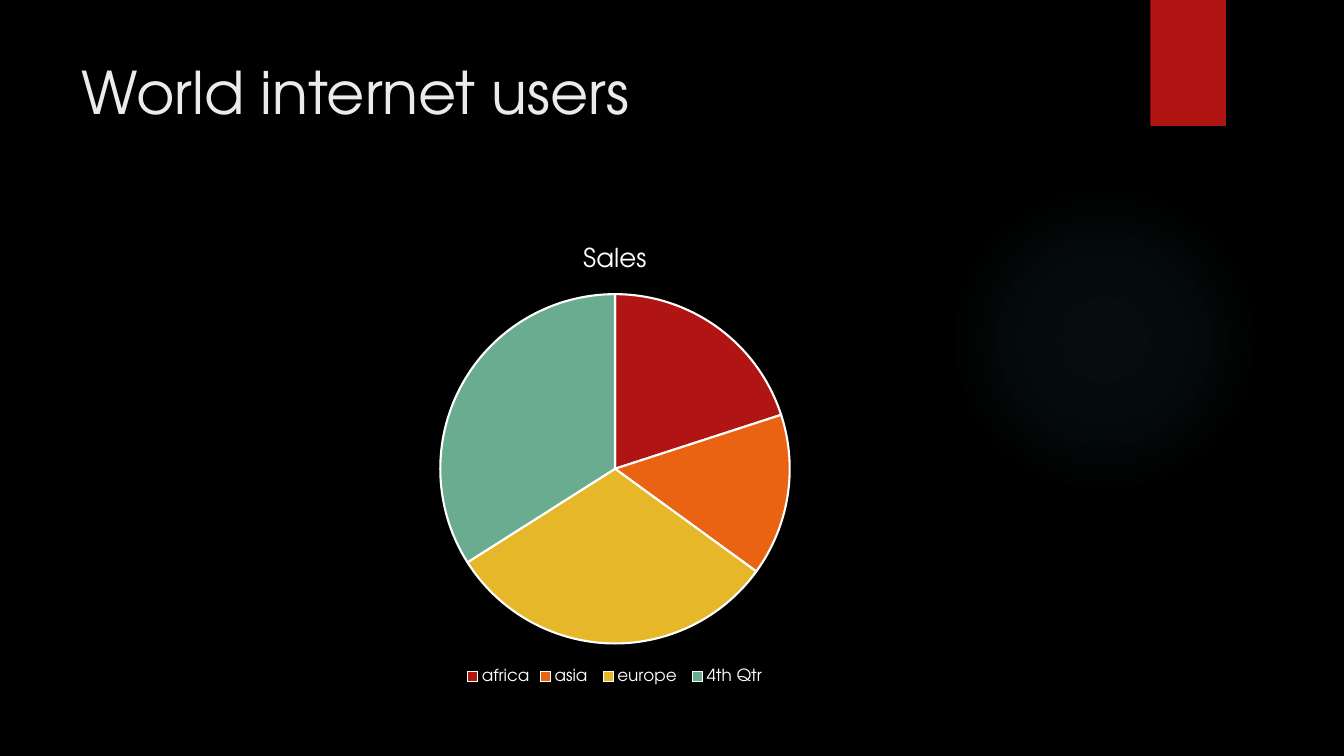
"""Build the slide on world internet users with its pie chart."""
from pptx import Presentation
from pptx.chart.data import CategoryChartData
from pptx.dml.color import RGBColor
from pptx.enum.chart import XL_CHART_TYPE, XL_LEGEND_POSITION
from pptx.enum.shapes import MSO_SHAPE
from pptx.enum.text import MSO_ANCHOR
from pptx.oxml import parse_xml
from pptx.oxml.ns import nsdecls, qn
from pptx.util import Inches, Pt

FONT = "TeX Gyre Adventor"
RED = "B01513"


def paint(fill, color):
    fill.solid()
    fill.fore_color.rgb = RGBColor.from_string(color)


def style(font, size, color):
    font.name = FONT
    font.size = Pt(size)
    font.bold = False
    paint(font.fill, color)


prs = Presentation()
prs.slide_width, prs.slide_height = Inches(13.33), Inches(7.5)
slide = prs.slides.add_slide(prs.slide_layouts[6])
paint(slide.background.fill, "000000")

glow = slide.shapes.add_shape(
    MSO_SHAPE.OVAL, Inches(9.41), Inches(1.83), Inches(3.08), Inches(3.08))
glow.shadow.inherit = False
glow.line.fill.background()
glow.fill.gradient()
stops = "".join(
    f'<a:gs pos="{position * 1000}"><a:srgbClr val="50B9C1">'
    f'<a:alpha val="{alpha * 1000}"/></a:srgbClr></a:gs>'
    for position, alpha in [(0, 7), (36, 6), (69, 0)])
radial = parse_xml(
    f'<a:gradFill {nsdecls("a")} rotWithShape="1"><a:gsLst>{stops}</a:gsLst>'
    '<a:path path="circle"><a:fillToRect l="50000" t="50000" r="50000" b="50000"/>'
    '</a:path></a:gradFill>')
glow_properties = glow._element.spPr
glow_properties.replace(glow_properties.find(qn("a:gradFill")), radial)

ribbon = slide.shapes.add_shape(
    MSO_SHAPE.RECTANGLE, Inches(11.41), Inches(0), Inches(0.75), Inches(1.25))
ribbon.shadow.inherit = False
ribbon.line.fill.background()
paint(ribbon.fill, RED)

heading = slide.shapes.add_textbox(
    Inches(0.71), Inches(0.5), Inches(10.29), Inches(1.53)).text_frame
heading.word_wrap = True
heading.vertical_anchor = MSO_ANCHOR.TOP
heading_run = heading.paragraphs[0].add_run()
heading_run.text = "World internet users"
style(heading_run.font, 42, "EBEBEB")

users = CategoryChartData()
users.categories = ["africa", "asia ", "europe ", "4th Qtr"]
users.add_series("Sales", [20, 15, 31, 34])
pie = slide.shapes.add_chart(
    XL_CHART_TYPE.PIE, Inches(1.21), Inches(2.24), Inches(9.78), Inches(4.59),
    users).chart
style(pie.font, 10, "FFFFFF")

pie.has_title = True
pie.chart_title.include_in_layout = False
sales_run = pie.chart_title.text_frame.paragraphs[0].add_run()
sales_run.text = "Sales"
style(sales_run.font, 18.6, "FFFFFF")

pie.has_legend = True
pie.legend.position = XL_LEGEND_POSITION.BOTTOM
pie.legend.include_in_layout = False
style(pie.legend.font, 12, "FFFFFF")

pie.plots[0].vary_by_categories = True
for index, color in enumerate([RED, "EA6312", "E6B729", "6AAC90"]):
    wedge = pie.plots[0].series[0].points[index].format
    paint(wedge.fill, color)
    paint(wedge.line.fill, "FFFFFF")
    wedge.line.width = Pt(1.5)

prs.save("out.pptx")
